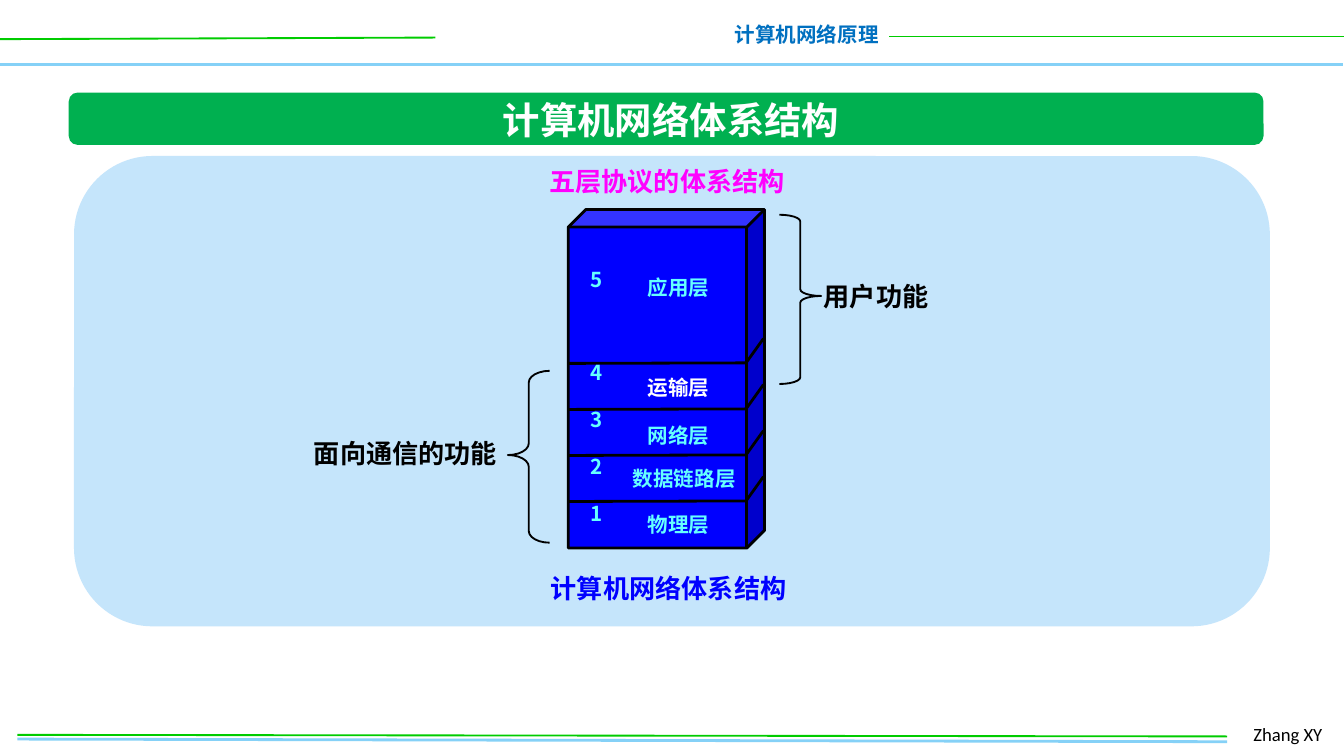
from lxml import etree
from pptx import Presentation
from pptx.dml.color import RGBColor
from pptx.enum.shapes import MSO_CONNECTOR, MSO_SHAPE
from pptx.enum.text import MSO_ANCHOR, MSO_AUTO_SIZE, PP_ALIGN
from pptx.oxml.ns import qn
from pptx.util import Cm, Pt

LEFT, MID, RIGHT = PP_ALIGN.LEFT, PP_ALIGN.CENTER, PP_ALIGN.RIGHT
TOP, GROW = MSO_ANCHOR.TOP, MSO_AUTO_SIZE.SHAPE_TO_FIT_TEXT
STRAIGHT = MSO_CONNECTOR.STRAIGHT
ROUND, CUBE = MSO_SHAPE.ROUNDED_RECTANGLE, MSO_SHAPE.CUBE
BRACE = MSO_SHAPE.RIGHT_BRACE
CJK, LATIN = "Noto Sans CJK SC", "Calibri"
HEX = {
    "sky": "85D1F7", "lime": "00CC00", "head": "0070C0", "green": "00B050",
    "pale": "C5E5FB", "blue": "0000FF", "cyan": "66FFFF", "pink": "FF00FF",
    "black": "000000", "white": "FFFFFF",
}


def color(name):
    return RGBColor.from_string(HEX[name])


class Page:
    """Style and current slide; all places are in centimetres."""

    def __init__(self, slide):
        self.slide = slide
        self.shapes = slide.shapes

    def stroke(self, shape, name, width):
        shape.line.color.rgb = color(name)
        shape.line.width = Pt(width)

    def rule(self, start, end, name, width):
        line = self.shapes.add_connector(STRAIGHT, *map(Cm, start + end))
        self.stroke(line, name, width)
        etree.SubElement(line._element.spPr, qn("a:effectLst"))

    def shape(self, kind, box, fill=None, width=None, adj=(), flip=False):
        item = self.shapes.add_shape(kind, *map(Cm, box))
        item.shadow.inherit = False
        for i, value in enumerate(adj):
            item.adjustments[i] = value
        if fill:
            item.fill.solid()
            item.fill.fore_color.rgb = color(fill)
        else:
            item.fill.background()
        if width:
            self.stroke(item, "black", width)
        else:
            item.line.fill.background()
        if flip:
            item._element.spPr.xfrm.set("flipH", "1")

    def fold(self, points):
        """Draw an open black line through the points."""
        spots = [(Cm(x), Cm(y)) for x, y in points]
        edge = self.shapes.build_freeform(*spots[0])
        edge.add_line_segments(spots[1:], close=False)
        item = edge.convert_to_shape()
        item.shadow.inherit = False
        item.fill.background()
        self.stroke(item, "black", 1.5)

    def add_run(self, para, text, size, name, font=CJK, bold=True):
        run = para.add_run()
        run.text = text
        run.font.size = Pt(size)
        run.font.bold = bold
        run.font.color.rgb = color(name)
        run.font.name = font
        etree.SubElement(run._r.rPr, qn("a:ea"), typeface=CJK)

    def frame(self, item, wrap):
        frame = item.text_frame
        frame.word_wrap = wrap
        frame.auto_size = GROW
        frame.vertical_anchor = TOP
        return frame

    def text(self, box, text, size, name, align=LEFT, wrap=False,
             font=CJK, bold=True):
        item = self.shapes.add_textbox(*map(Cm, box))
        para = self.frame(item, wrap).paragraphs[0]
        para.alignment = align
        self.add_run(para, text, size, name, font, bold)

    def title(self, box, text):
        item = self.shapes.title
        item.left, item.top, item.width, item.height = map(Cm, box)
        self.shapes._spTree.append(item._element)  # above the banner
        para = self.frame(item, False).paragraphs[0]
        para.alignment = MID
        self.add_run(para, text, 20, "white", LATIN)

    def ranks(self, box, marks, step):
        """Number the layers, with a double step after the tall top one."""
        item = self.shapes.add_textbox(*map(Cm, box))
        frame = self.frame(item, False)
        for i, mark in enumerate(marks):
            para = frame.add_paragraph() if i else frame.paragraphs[0]
            para.line_spacing = Pt(step)
            if i == 1:
                para.space_before = Pt(step)
            self.add_run(para, mark, 11, "cyan")


def main():
    deck = Presentation()
    deck.slide_width, deck.slide_height = Cm(25.4), Cm(14.29)
    page = Page(deck.slides.add_slide(deck.slide_layouts[5]))

    # Header and footer
    page.rule((0, 1.22), (25.38, 1.22), "sky", 2)
    page.rule((0, 0.74), (8.23, 0.71), "lime", 1)
    page.text((13.61, 0.3, 3.25, 0.74), "计算机网络原理", 11, "head", RIGHT)
    page.rule((16.81, 0.69), (25.4, 0.69), "lime", 1)
    page.rule((0.33, 13.97), (23.19, 14.02), "sky", 1.5)
    page.text((23.44, 13.54, 1.88, 0.69), "Zhang XY", 10, "black",
              wrap=True, font=LATIN, bold=False)
    page.rule((0.33, 13.89), (23.19, 13.92), "lime", 1)

    # Title banner and panel
    page.shape(ROUND, (1.3, 1.75, 22.58, 0.99), "green", adj=[0.17])
    page.title((9.22, 1.7, 6.93, 1.12), "计算机网络体系结构")
    page.shape(ROUND, (1.4, 2.95, 22.6, 8.89), "pale")

    # Layer stack
    page.shape(CUBE, (10.74, 3.96, 3.71, 6.4), "blue", 1.5, [0.09])
    for i in range(4):
        y = 6.4 + 0.87 * i
        page.fold([(14.43, y), (14.1, y + 0.46), (10.74, y + 0.47)])
    layers = [
        ("应用层", 11.99, 5.08, "cyan"),
        ("运输层", 11.99, 6.96, "white"),
        ("网络层", 11.99, 7.87, "cyan"),
        ("数据链路层", 11.71, 8.69, "cyan"),
        ("物理层", 11.99, 9.55, "cyan"),
    ]
    for name, x, y, tint in layers:
        width = 0.51 + 0.39 * len(name)
        page.text((x, y, width, 0.73), name, 11, tint)
    page.ranks((10.92, 4.5, 0.76, 5.56), "54321", 25.1)

    # Captions and braces
    page.text((10.13, 3, 5, 0.86), "五层协议的体系结构", 14, "pink")
    page.text((3.05, 10.69, 19.18, 0.86), "计算机网络体系结构", 14, "blue",
              MID, True)
    page.shape(BRACE, (9.6, 7.01, 0.79, 3.25), None, 1, [0.28, 0.49], True)
    page.text((5.03, 8.15, 4.62, 0.86), "面向通信的功能", 14, "black",
              RIGHT, True)
    page.shape(BRACE, (14.73, 4.06, 0.79, 3.2), None, 1, [0.16, 0.48])
    page.text((15.32, 5.18, 2.51, 0.86), "用户功能", 14, "black")

    deck.save("out.pptx")


if __name__ == "__main__":
    main()
